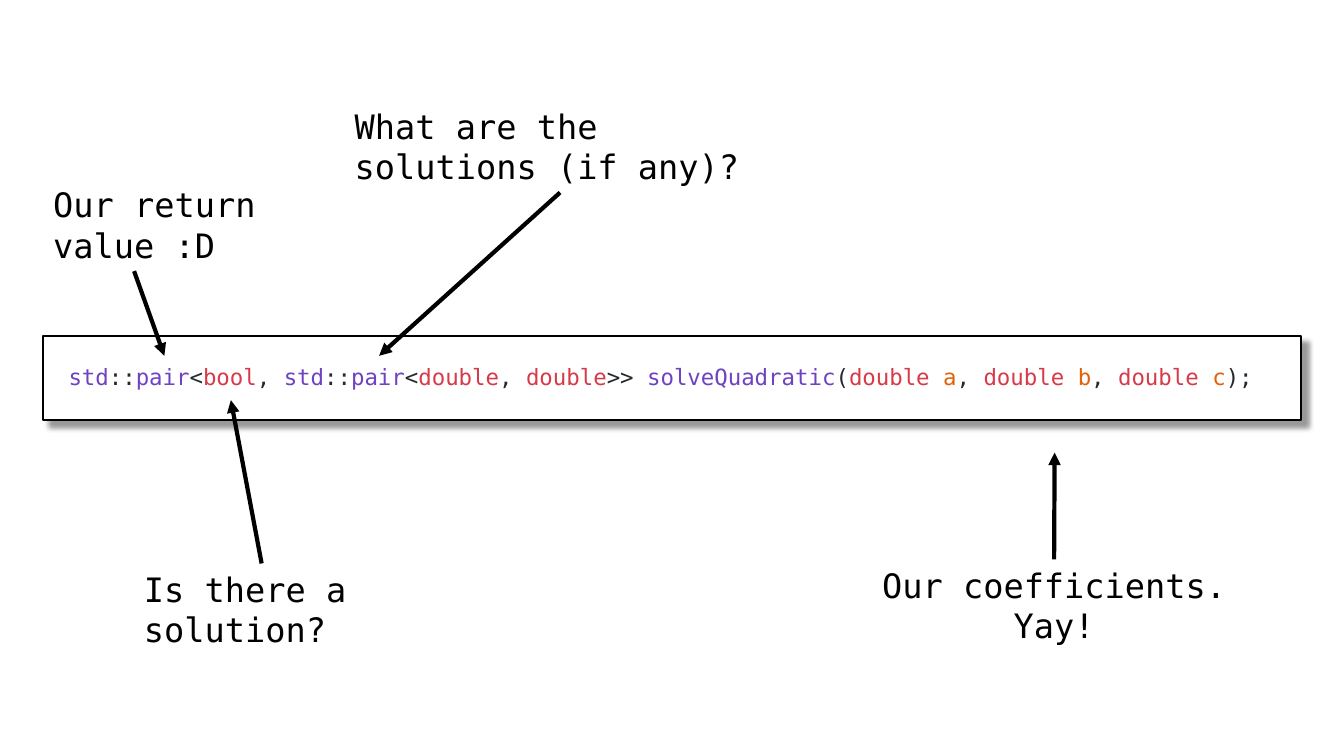
from itertools import groupby

from lxml import etree
from pptx import Presentation
from pptx.dml.color import RGBColor
from pptx.enum.shapes import MSO_CONNECTOR, MSO_SHAPE
from pptx.enum.text import MSO_ANCHOR, MSO_AUTO_SIZE, PP_ALIGN
from pptx.oxml import parse_xml
from pptx.oxml.ns import nsdecls, qn
from pptx.util import Pt

PX = 9144  # 100 px to the inch
FONT = "DejaVu Sans Mono"
BLACK = RGBColor(0x00, 0x00, 0x00)
WHITE = RGBColor(0xFF, 0xFF, 0xFF)
PURPLE = RGBColor(0x6F, 0x42, 0xC1)
RED = RGBColor(0xD7, 0x3A, 0x49)
ORANGE = RGBColor(0xE3, 0x62, 0x09)
INK = RGBColor(0x24, 0x29, 0x2E)

CODE = ("std::pair<bool, std::pair<double, double>> "
        "solveQuadratic(double a, double b, double c);")
TOKEN_COLORS = {
    **dict.fromkeys(["std", "pair", "solveQuadratic"], PURPLE),
    **dict.fromkeys(["bool", "double"], RED),
    **dict.fromkeys(["a", "b", "c"], ORANGE),
}
SHADOW = (
    f'<a:effectLst {nsdecls("a")}>'
    f'<a:outerShdw blurRad="{Pt(4)}" dist="{Pt(6)}" dir="2700000" algn="tl" rotWithShape="0">'
    '<a:srgbClr val="000000"><a:alpha val="40000"/></a:srgbClr>'
    '</a:outerShdw></a:effectLst>'
)
TOP, BOTTOM = 0, 2

# Text, box, alignment, arrow start (a side of the box, or a point) and arrow tip
NOTES = [
    ("Is there a solution?", (133, 559, 253, 91), PP_ALIGN.LEFT, TOP, (229, 397)),
    ("What are the solutions (if any)?", (342, 100, 427, 91), PP_ALIGN.LEFT, BOTTOM, (376, 353)),
    ("Our coefficients. Yay!", (832, 555, 427, 91), PP_ALIGN.CENTER, TOP, (1046, 449)),
    ("Our return value :D", (43, 178, 253, 91), PP_ALIGN.LEFT, (133, 269), (163, 353)),
]


def px(*lengths):
    return [n * PX for n in lengths]


def add_run(p, text, size, color):
    r = p.add_run()
    r.text = text
    for name, value in {"name": FONT, "size": Pt(size)}.items():
        setattr(r.font, name, value)
    r.font.color.rgb = color


def add_code_box(slide, box):
    s = slide.shapes.add_shape(MSO_SHAPE.RECTANGLE, *px(*box))
    s.fill.solid()
    s.fill.fore_color.rgb = WHITE
    s.line.color.rgb = BLACK
    s.line.width = Pt(1.5)
    s.shadow.inherit = False
    props = s._element.spPr
    props.replace(props.find(qn("a:effectLst")), parse_xml(SHADOW))

    tf = s.text_frame
    frame = {"word_wrap": True, "vertical_anchor": MSO_ANCHOR.MIDDLE}
    frame.update(dict.fromkeys(
        ["margin_left", "margin_top", "margin_right", "margin_bottom"], 25 * PX))
    for name, value in frame.items():
        setattr(tf, name, value)

    # One run per word or stretch of punctuation
    p = tf.paragraphs[0]
    p.alignment = PP_ALIGN.LEFT
    p.line_spacing = 0.9
    for _, chars in groupby(CODE, str.isalnum):
        token = "".join(chars)
        add_run(p, token, 16, TOKEN_COLORS.get(token, INK))


def add_note(slide, text, box, alignment, start, tip):
    s = slide.shapes.add_textbox(*px(*box))
    tf = s.text_frame
    tf.word_wrap = True
    tf.auto_size = MSO_AUTO_SIZE.SHAPE_TO_FIT_TEXT
    p = tf.paragraphs[0]
    p.alignment = alignment
    add_run(p, text, 24, BLACK)

    # Arrow from the note to the code
    joined = isinstance(start, int)
    begin = box[:2] if joined else start
    arrow = slide.shapes.add_connector(MSO_CONNECTOR.STRAIGHT, *px(*begin, *tip))
    if joined:
        arrow.begin_connect(s, start)
    arrow.line.color.rgb = BLACK
    arrow.line.width = Pt(3)
    etree.SubElement(arrow.line._get_or_add_ln(), qn("a:tailEnd"), type="triangle")
    etree.SubElement(arrow._element.spPr, qn("a:effectLst"))


def main():
    prs = Presentation()
    prs.slide_width, prs.slide_height = px(1333, 750)
    slide = prs.slides.add_slide(prs.slide_layouts[6])
    add_code_box(slide, (43, 333, 1247, 84))
    for note in NOTES:
        add_note(slide, *note)
    prs.save("out.pptx")


if __name__ == "__main__":
    main()
